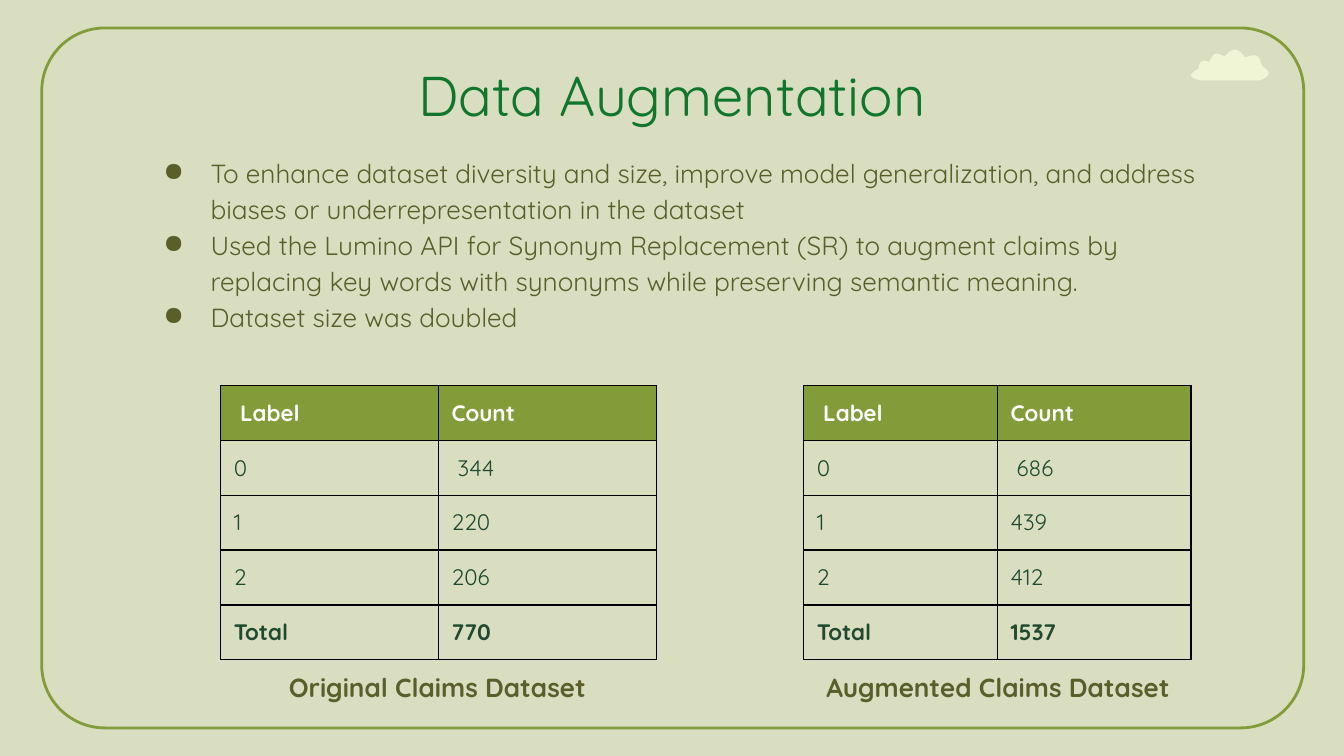
import math
from lxml import etree
from pptx import Presentation
from pptx import util as u
from pptx.dml import color
from pptx.enum import shapes, text
from pptx.oxml import ns

Cm, Pt = u.Cm, u.Pt
HUES = {"page": "D9DEC1", "green": "819C38", "cloud": "EFF5D5", "title": "10762C",
        "olive": "595E2B", "white": "FFFFFF", "dark": "20492F", "black": "000000"}
FACE = "Quicksand"
PAD = Cm(0.25)


def rgb(name):
    return color.RGBColor.from_string(HUES[name])


def style(para, size, hue, bold=False):
    font = para.font
    font.name, font.size, font.bold = FACE, Pt(size), bold
    font.color.rgb = rgb(hue)


def add_text(slide, box, lines, size, hue, bold=False):
    frame = slide.shapes.add_textbox(*map(Cm, box)).text_frame
    frame.word_wrap = True
    frame.margin_left = frame.margin_right = PAD
    frame.margin_top = frame.margin_bottom = PAD
    frame.text = "\n".join(lines)
    for para in frame.paragraphs:
        style(para, size, hue, bold)
    return frame


def add_frame(slide, box):
    edge = slide.shapes.add_shape(shapes.MSO_SHAPE.ROUNDED_RECTANGLE, *map(Cm, box))
    edge.adjustments[0] = 0.09
    edge.shadow.inherit = False
    edge.fill.background()
    edge.line.color.rgb = rgb("green")
    edge.line.width = Pt(1.5)


def add_cloud(slide, left, top):
    joints = [(0.18, 0.58), (0.15, 0.36), (0.36, 0.23), (0.64, 0.13),
              (1.04, 0.15), (1.35, 0.3), (1.32, 0.58)]
    swells = [0.7, 0.35, 0.35, 0.35, 0.35, 0.5]
    steps = 10
    points = []
    for (ax, ay), (bx, by), swell in zip(joints, joints[1:], swells):
        dx, dy = bx - ax, by - ay
        for step in range(1, steps + 1):
            part = step / steps
            rise = swell * math.sin(math.pi * part)
            points.append((Cm(left + ax + dx * part + dy * rise),
                           Cm(top + ay + dy * part - dx * rise)))
    pen = slide.shapes.build_freeform(Cm(left + joints[0][0]), Cm(top + joints[0][1]))
    pen.add_line_segments(points, close=True)
    cloud = pen.convert_to_shape()
    cloud.shadow.inherit = False
    cloud.fill.solid()
    cloud.fill.fore_color.rgb = rgb("cloud")
    cloud.line.fill.background()


def add_title(slide, box, words):
    frame = add_text(slide, box, [words], 30, "title")
    frame.paragraphs[0].alignment = text.PP_ALIGN.CENTER


def add_points(slide, box, lines):
    frame = add_text(slide, box, lines, 14, "olive")
    for para in frame.paragraphs:
        para.line_spacing = 1.15
        props = para._p.get_or_add_pPr()
        props.set("marL", str(Cm(1.27)))
        props.set("indent", str(-Cm(0.89)))
        tint = etree.SubElement(props, ns.qn("a:buClr"))
        etree.SubElement(tint, ns.qn("a:srgbClr"), val=HUES["olive"])
        etree.SubElement(props, ns.qn("a:buChar"), char="●")


def add_borders(cell):
    props = cell._tc.get_or_add_tcPr()
    for side in "LRTB":
        line = etree.SubElement(props, ns.qn("a:ln" + side), w=str(Pt(0.75)))
        fill = etree.SubElement(line, ns.qn("a:solidFill"))
        etree.SubElement(fill, ns.qn("a:srgbClr"), val=HUES["black"])


def add_counts(slide, box, rows):
    left, top, width, height = box
    table = slide.shapes.add_table(len(rows), 2, *map(Cm, box)).table
    table.first_row = table.horz_banding = False
    for col in table.columns:
        col.width = Cm(width / 2)
    for i, row in enumerate(rows):
        table.rows[i].height = Cm(height / len(rows))
        head, total = i == 0, i == len(rows) - 1
        for j, words in enumerate(row):
            cell = table.cell(i, j)
            cell.margin_left = cell.margin_right = PAD
            cell.margin_top = cell.margin_bottom = PAD
            cell.text = words
            style(cell.text_frame.paragraphs[0], 12,
                  "white" if head else "dark", head or total)
            add_borders(cell)
            if head:
                cell.fill.solid()
                cell.fill.fore_color.rgb = rgb("green")
            else:
                cell.fill.background()


def add_panel(slide, box, inset, name, counts):
    left, top, width, height = box
    labels = [" Label", "0", "1", "2", "Total"]
    add_counts(slide, box, list(zip(labels, ["Count"] + counts)))
    add_text(slide, (left + inset, top + height - 0.02, 7.32, 0.51),
             [name], 14, "olive", True)


def main():
    deck = Presentation()
    deck.slide_width, deck.slide_height = Cm(25.4), Cm(14.29)
    slide = deck.slides.add_slide(deck.slide_layouts[6])
    slide.background.fill.solid()
    slide.background.fill.fore_color.rgb = rgb("page")
    add_frame(slide, (0.79, 0.53, 23.85, 13.23))
    add_cloud(slide, 22.5, 0.94)
    add_title(slide, (1.98, 0.89, 21.44, 1.6), "Data Augmentation")
    add_points(slide, (2.46, 2.64, 21.08, 3.86), [
        "To enhance dataset diversity and size, improve model generalization, "
        "and address biases or underrepresentation in the dataset",
        "Used the Lumino API for Synonym Replacement (SR) to augment claims by "
        "replacing key words with synonyms while preserving semantic meaning.",
        "Dataset size was doubled"])
    add_panel(slide, (4.17, 7.29, 8.23, 5.18), 1.04, "Original Claims Dataset",
              [" 344", "220", "206", "770"])
    add_panel(slide, (15.19, 7.29, 7.32, 5.18), 0.18, "Augmented Claims Dataset",
              [" 686", "439", "412", "1537"])
    deck.save("out.pptx")


if __name__ == "__main__":
    main()
